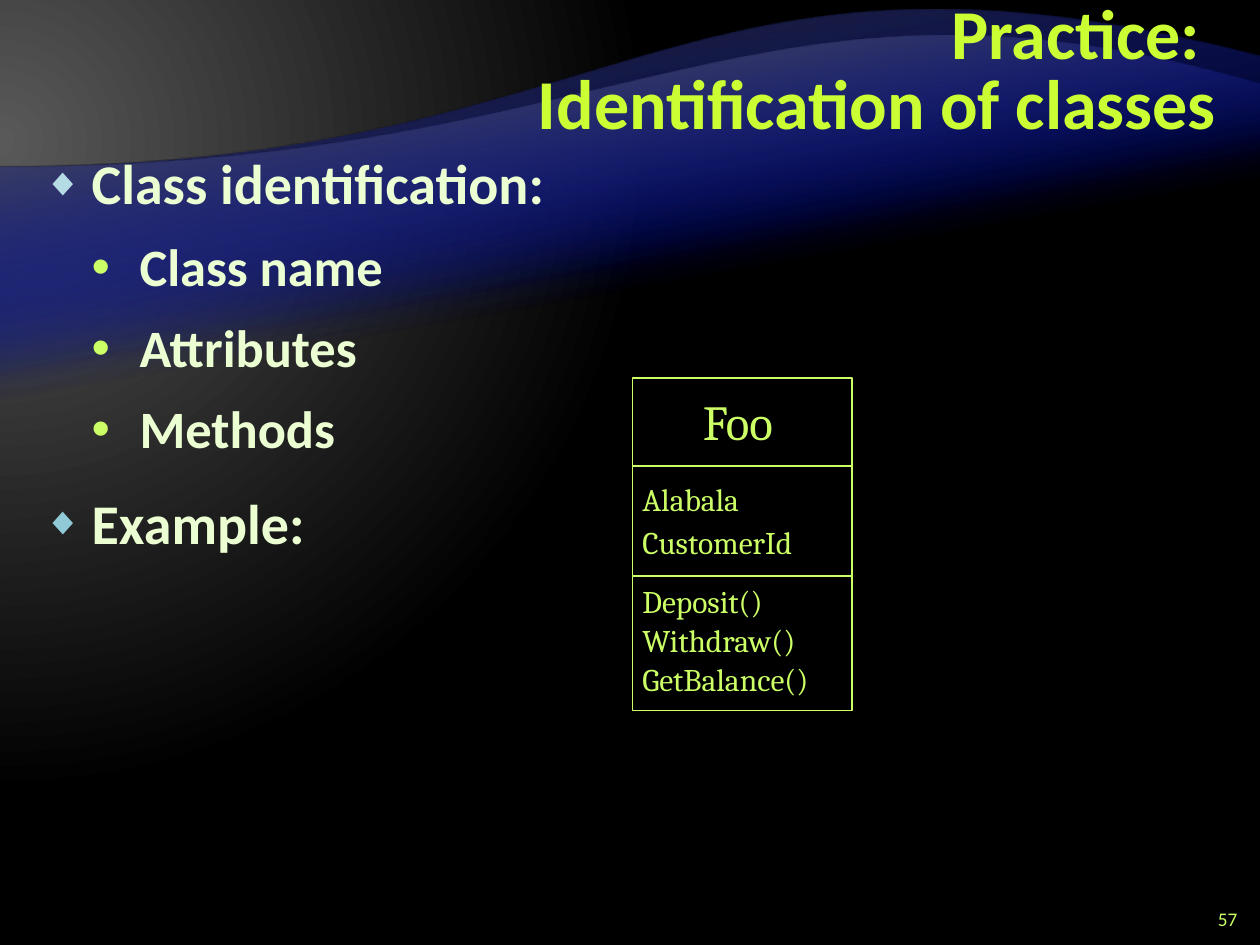
import pptx
import pptx.dml.color
import pptx.enum.shapes
import pptx.enum.text
import pptx.oxml
import pptx.oxml.ns
import pptx.util
from pptx.util import Inches

LIME = "CCFF66"
ALIGN = pptx.enum.text.PP_ALIGN
ANCHOR = pptx.enum.text.MSO_ANCHOR
FIT = pptx.enum.text.MSO_AUTO_SIZE
qn = pptx.oxml.ns.qn


def colour(value):
    return pptx.dml.color.RGBColor.from_string(value)


def apply(target, values):
    for name, value in values.items():
        setattr(target, name, value)


def xml(tag, **attributes):
    element = pptx.oxml.parse_xml(f"<a:{tag} {pptx.oxml.ns.nsdecls('a')}/>")
    for name, value in attributes.items():
        element.set(name, str(value))
    return element


def style(para, size, hue, font="Calibri", bold=False, **layout):
    apply(para, layout)
    for span in para.runs:
        apply(span.font, {"size": pptx.util.Pt(size), "name": font, "bold": bold})
        span.font.color.rgb = colour(hue)


def add_text(page, box, text, size, font, **frame):
    shape = page.shapes.add_textbox(*map(Inches, box))
    apply(shape.text_frame, frame)
    para = shape.text_frame.paragraphs[0]
    para.text = text
    style(para, size, LIME, font)
    return para


def set_gradient(fill, stops):
    fill.gradient()
    for stop, (position, hue) in zip(fill.gradient_stops, stops):
        stop.position = position
        stop.color.rgb = colour(hue)


def paint_background(page):
    set_gradient(page.background.fill, [(0, "595959"), (0.83, "000000")])
    linear = next(page.element.iter(qn("a:lin")))
    radial = xml("path")
    radial.set("path", "circle")
    radial.append(xml("fillToRect", l=20000, t=30000, r=135000, b=100000))
    linear.getparent().replace(linear, radial)


def add_wave(page, bottom, curve, edge):
    top = curve[-1][1]
    turned = [(Inches(10 - x), Inches(bottom - y)) for x, y in [(10, bottom), (0, bottom), *curve]]
    start, corner, crest, *controls, finish = turned
    builder = page.shapes.build_freeform(*start)
    builder.add_line_segments([corner, crest, finish, start])
    wave = builder.convert_to_shape(0, Inches(top))
    wave.shadow.inherit = False
    wave.rotation = 180
    wave.line.fill.background()
    set_gradient(wave.fill, [(0.65, "000D9E"), (1, edge)])
    wave.fill.gradient_angle = 280
    next(wave.element.iter(qn("a:srgbClr"))).append(xml("alpha", val=0))
    straight = list(wave.element.iter(qn("a:lnTo")))[2]
    cubic = xml("cubicBezTo")
    for x, y in [*controls, finish]:
        cubic.append(xml("pt", x=x, y=y))
    straight.getparent().replace(straight, cubic)


def add_title(page, box, text):
    title = page.shapes.title
    title.element.getparent().append(title.element)
    apply(title, dict(zip(("left", "top", "width", "height"), map(Inches, box))))
    title.text_frame.text = text
    apply(title.text_frame, {"vertical_anchor": ANCHOR.MIDDLE, "auto_size": FIT.NONE})
    style(title.text_frame.paragraphs[0], 40, "CCFF33", bold=True,
          alignment=ALIGN.RIGHT, line_spacing=pptx.util.Pt(40))


def add_bullets(page, box, items):
    frame = page.shapes.add_textbox(*map(Inches, box)).text_frame
    frame.word_wrap = True
    for index, (level, text, hue) in enumerate(items):
        para = frame.paragraphs[0] if index == 0 else frame.add_paragraph()
        para.text = text
        style(para, 30 if level else 32, "EBFFD2", bold=True, level=level, line_spacing=0.95,
              space_before=pptx.util.Pt(6), space_after=pptx.util.Pt(6))
        properties = para._p.get_or_add_pPr()
        properties.set("marL", str(Inches(0.38 * (level + 1))))
        properties.set("indent", str(Inches(-0.38)))
        if level == 0:
            before = properties.find(qn("a:spcBef"))
            before.clear()
            before.append(xml("spcPct", val=40000))
        bullet_colour = xml("buClr")
        bullet_colour.append(xml("srgbClr", val=hue))
        properties.append(bullet_colour)
        if level == 0:
            properties.append(xml("buSzPct", val=70000))
        properties.append(xml("buFont", typeface="Arial"))
        properties.append(xml("buChar", char="•" if level else "◆"))


def add_class_box(page, box, name, compartments):
    left, top, width, height = box
    border = page.shapes.add_shape(pptx.enum.shapes.MSO_SHAPE.RECTANGLE, *map(Inches, box))
    border.shadow.inherit = False
    border.fill.background()
    lines = [border.line]
    for divider, *_ in compartments:
        connector = page.shapes.add_connector(
            pptx.enum.shapes.MSO_CONNECTOR.STRAIGHT,
            *map(Inches, (left, top + divider, left + width, top + divider)))
        connector.element.spPr.append(xml("effectLst"))
        lines.append(connector.line)
    for line in lines:
        line.color.rgb = colour(LIME)
        line.width = pptx.util.Pt(1)
    frame = {"word_wrap": False, "auto_size": FIT.SHAPE_TO_FIT_TEXT}
    add_text(page, (left + 0.46, top + 0.06, 0.91, 0.57), name, 28, "Cambria", **frame)
    for _, start, step, members in compartments:
        for row, (member, member_width) in enumerate(members):
            add_text(page, (left - 0.02, top + start + row * step, member_width, 0.4),
                     member, 18, "Cambria", **frame)


def add_page_number(page, box, number):
    para = add_text(page, box, number, 11, "Calibri", word_wrap=True,
                    vertical_anchor=ANCHOR.MIDDLE)
    para.alignment = ALIGN.RIGHT


def main():
    deck = pptx.Presentation()
    apply(deck, {"slide_width": Inches(10), "slide_height": Inches(7.5)})
    page = deck.slides.add_slide(deck.slide_layouts.get_by_name("Title Only"))
    paint_background(page)
    waves = [
        (6.53, [(0, 1.33), (5, 1.33), (5.34, -0.75), (10, 0.45)], "262626"),
        (5.57, [(0, 1.33), (5, 1.33), (5.98, -0.49), (10, 0.67)], "595959"),
    ]
    for wave in waves * 2:
        add_wave(page, *wave)
    add_title(page, (2, 0.08, 7.75, 1), "Practice: \vIdentification of classes")
    add_bullets(page, (0.25, 1.17, 9.5, 6.17), [
        (0, "Class identification:", "B5DBE5"),
        (1, "Class name", LIME),
        (1, "Attributes", LIME),
        (1, "Methods", LIME),
        (0, "Example:", "90CAD7"),
    ])
    add_page_number(page, (9.42, 7.17, 0.5, 0.25), "57")
    add_class_box(page, (5.02, 3, 1.74, 2.64), "Foo", [
        (0.7, 0.76, 0.34, [("Alabala", 1.09), ("CustomerId", 1.59)]),
        (1.57, 1.57, 0.31, [("Deposit()", 1.28), ("Withdraw()", 1.49), ("GetBalance()", 1.74)]),
    ])
    deck.save("out.pptx")


if __name__ == "__main__":
    main()
